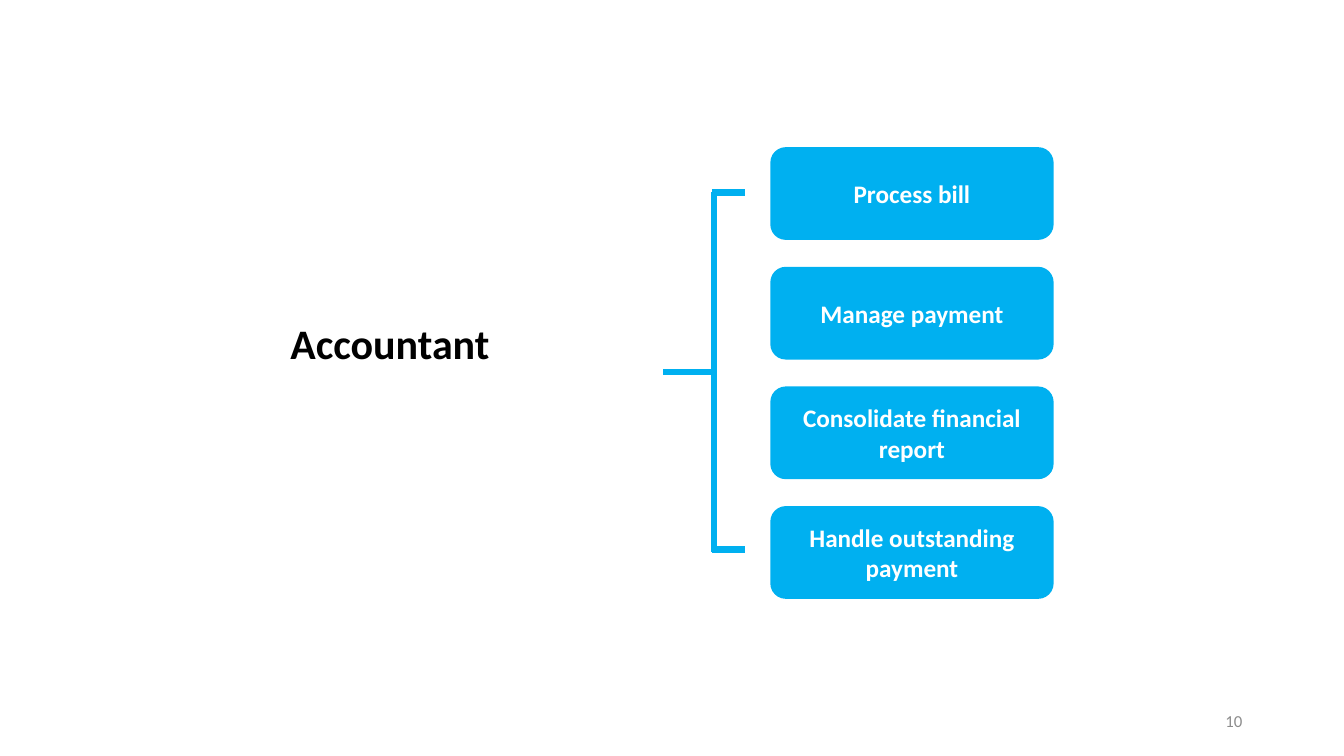
"""Build the slide that lists the duties of an accountant."""
import pptx
import pptx.util
import pptx.dml.color
import pptx.enum.shapes
import pptx.enum.text
import pptx.oxml

Inches = pptx.util.Inches
Pt = pptx.util.Pt
RGBColor = pptx.dml.color.RGBColor
Align = pptx.enum.text.PP_ALIGN
Anchor = pptx.enum.text.MSO_ANCHOR

BLUE = RGBColor(0x00, 0xB0, 0xF0)
WHITE = RGBColor(0xFF, 0xFF, 0xFF)
BLACK = RGBColor(0x00, 0x00, 0x00)
GREY = RGBColor(0x8C, 0x8C, 0x8C)


def write(shape, text, size, color, bold, align, anchor, wrap):
    frame = shape.text_frame
    layout = {
        "word_wrap": wrap,
        "vertical_anchor": anchor,
        "auto_size": pptx.enum.text.MSO_AUTO_SIZE.NONE,
        "margin_left": Inches(0.1),
        "margin_right": Inches(0.1),
        "margin_top": Inches(0.05),
        "margin_bottom": Inches(0.05),
    }
    for name, value in layout.items():
        setattr(frame, name, value)
    para = frame.paragraphs[0]
    para.alignment = align
    run = para.add_run()
    run.text = text
    style = {"name": "Calibri", "size": Pt(size), "bold": bold}
    for name, value in style.items():
        setattr(run.font, name, value)
    run.font.color.rgb = color


deck = pptx.Presentation()
deck.slide_width = Inches(13.33)
deck.slide_height = Inches(7.5)
slide = deck.slides.add_slide(deck.slide_layouts[5])
shapes = slide.shapes

title = shapes.title
place = {"left": 2.78, "top": 3.1, "width": 2.52, "height": 0.61}
for name, value in place.items():
    setattr(title, name, Inches(value))
write(title, "Accountant", 30, BLACK, True, Align.LEFT, Anchor.TOP, False)

duties = [
    "Process bill",
    "Manage payment",
    "Consolidate financial report",
    "Handle outstanding payment",
]
for row, duty in enumerate(duties):
    box = shapes.add_shape(
        pptx.enum.shapes.MSO_SHAPE.ROUNDED_RECTANGLE,
        Inches(7.64), Inches(1.46 + row * 1.187), Inches(2.81), Inches(0.92),
    )
    box.shadow.inherit = False
    box.fill.solid()
    box.fill.fore_color.rgb = BLUE
    box.line.fill.background()
    write(box, duty, 18, WHITE, True, Align.CENTER, Anchor.MIDDLE, True)

bracket = [
    (6.58, 3.69, 7.06, 3.69),
    (7.06, 1.91, 7.39, 1.91),
    (7.06, 5.45, 7.39, 5.45),
    (7.08, 1.9, 7.08, 5.48),
]
for ends in bracket:
    line = shapes.add_connector(
        pptx.enum.shapes.MSO_CONNECTOR.STRAIGHT, *[Inches(end) for end in ends]
    )
    line.line.color.rgb = BLUE
    line.line.width = Pt(4.5)
    props = line._element.spPr
    props.append(pptx.oxml.parse_xml(
        '<a:effectLst xmlns:a="http://schemas.openxmlformats.org/drawingml/2006/main"/>'
    ))

number = shapes.add_textbox(Inches(9.42), Inches(6.95), Inches(3), Inches(0.4))
write(number, "10", 12, GREY, False, Align.RIGHT, Anchor.MIDDLE, True)

deck.save("out.pptx")
